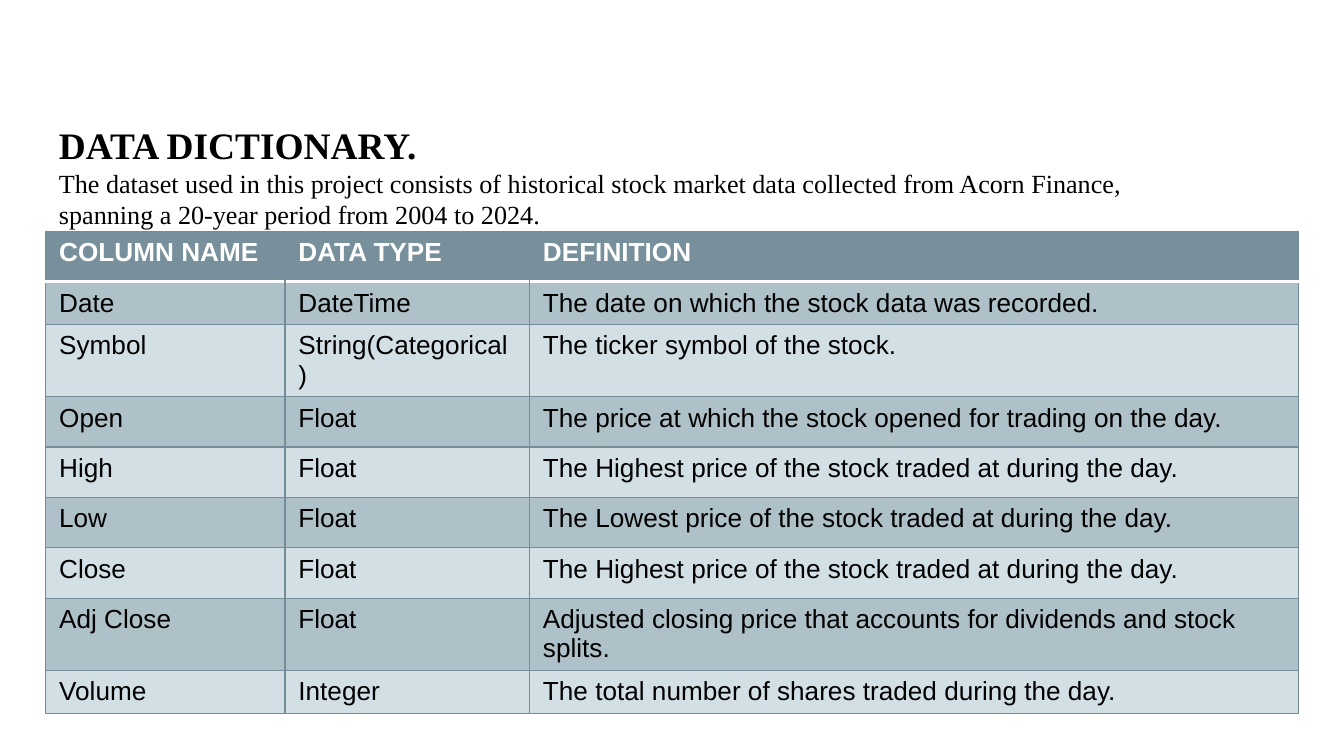
from lxml.etree import SubElement
from pptx import Presentation
from pptx.dml.color import RGBColor
from pptx.enum.text import MSO_AUTO_SIZE
from pptx.oxml.ns import qn
from pptx.util import Inches, Pt

TITLE = "DATA DICTIONARY."
INTRODUCTION = (
    "The dataset used in this project consists of historical stock market data "
    "collected from Acorn Finance, spanning a 20-year period from 2004 to 2024."
)
ROWS = [
    ("COLUMN NAME", "DATA TYPE", "DEFINITION"),
    ("Date", "DateTime", "The date on which the stock data was recorded."),
    ("Symbol", "String(Categorical)", "The ticker symbol of the stock."),
    ("Open", "Float", "The price at which the stock opened for trading on the day."),
    ("High", "Float", "The Highest price of the stock traded at during the day."),
    ("Low", "Float", "The Lowest price of the stock traded at during the day."),
    ("Close", "Float", "The Highest price of the stock traded at during the day."),
    ("Adj Close", "Float", "Adjusted closing price that accounts for dividends and stock splits."),
    ("Volume", "Integer", "The total number of shares traded during the day."),
]
COLUMN_WIDTHS = [1.78, 1.82, 5.72]
REGULAR_ROW = 3 / 8
ROW_HEIGHTS = [REGULAR_ROW, 0.25, *[REGULAR_ROW] * 5, 0.43, 0.25]
LEFT = 0.34
HEADER, DARK_BAND, LIGHT_BAND = "78909C", "AEC0C8", "D2E0E6"
BORDER, WHITE, BLACK = "748D99", "FFFFFF", "000000"


def color(value):
    return RGBColor.from_string(value)


def style_font(font, name, size, value, bold=False):
    font.name = name
    font.size = Pt(size)
    font.bold = bold
    font.color.rgb = color(value)


def add_border(cell, side, value, width):
    line = SubElement(cell._tc.get_or_add_tcPr(), qn(f"a:ln{side}"), w=str(Pt(width)))
    fill = SubElement(line, qn("a:solidFill"))
    SubElement(fill, qn("a:srgbClr"), val=value)


def style_cell(cell, row_index, column_index):
    is_header = row_index == 0
    for side in "LRTB":
        outer = (side == "L" and column_index == 0) or (
            side == "R" and column_index == len(COLUMN_WIDTHS) - 1
        )
        if is_header and side in "LR" and not outer:
            add_border(cell, side, HEADER, 0.75)
        elif (is_header and side == "B") or (row_index == 1 and side == "T"):
            add_border(cell, side, WHITE, 2)
        else:
            add_border(cell, side, BORDER, 0.75)
    band = DARK_BAND if row_index % 2 else LIGHT_BAND
    cell.fill.solid()
    cell.fill.fore_color.rgb = color(HEADER if is_header else band)
    style_font(cell.text_frame.paragraphs[0].font, "Arial", 14,
               WHITE if is_header else BLACK, is_header)


def add_dictionary(slide):
    table_shape = slide.shapes.add_table(
        len(ROWS), len(COLUMN_WIDTHS), Inches(LEFT), Inches(1.72),
        Inches(sum(COLUMN_WIDTHS)), Inches(3.48),
    )
    table = table_shape.table
    for column, width in zip(table.columns, COLUMN_WIDTHS):
        column.width = Inches(width)
    for row, height in zip(table.rows, ROW_HEIGHTS):
        row.height = Inches(height)
    table_shape.height = Inches(3.48)
    for row_index, texts in enumerate(ROWS):
        for column_index, text in enumerate(texts):
            cell = table.cell(row_index, column_index)
            cell.text = text
            style_cell(cell, row_index, column_index)


def add_heading(slide):
    box = slide.shapes.add_textbox(Inches(LEFT), Inches(0.86), Inches(8.64), Inches(1.58))
    frame = box.text_frame
    frame.word_wrap = True
    frame.auto_size = MSO_AUTO_SIZE.NONE
    title = frame.paragraphs[0]
    title.text = TITLE
    style_font(title.font, "Times New Roman", 20, BLACK, True)
    introduction = frame.add_paragraph()
    introduction.text = INTRODUCTION
    style_font(introduction.font, "Times New Roman", 14, BLACK)


def main():
    presentation = Presentation()
    presentation.slide_width = Inches(10)
    presentation.slide_height = Inches(10 * 9 / 16)
    slide = presentation.slides.add_slide(presentation.slide_layouts[6])
    add_dictionary(slide)
    add_heading(slide)
    presentation.save("out.pptx")


if __name__ == "__main__":
    main()
